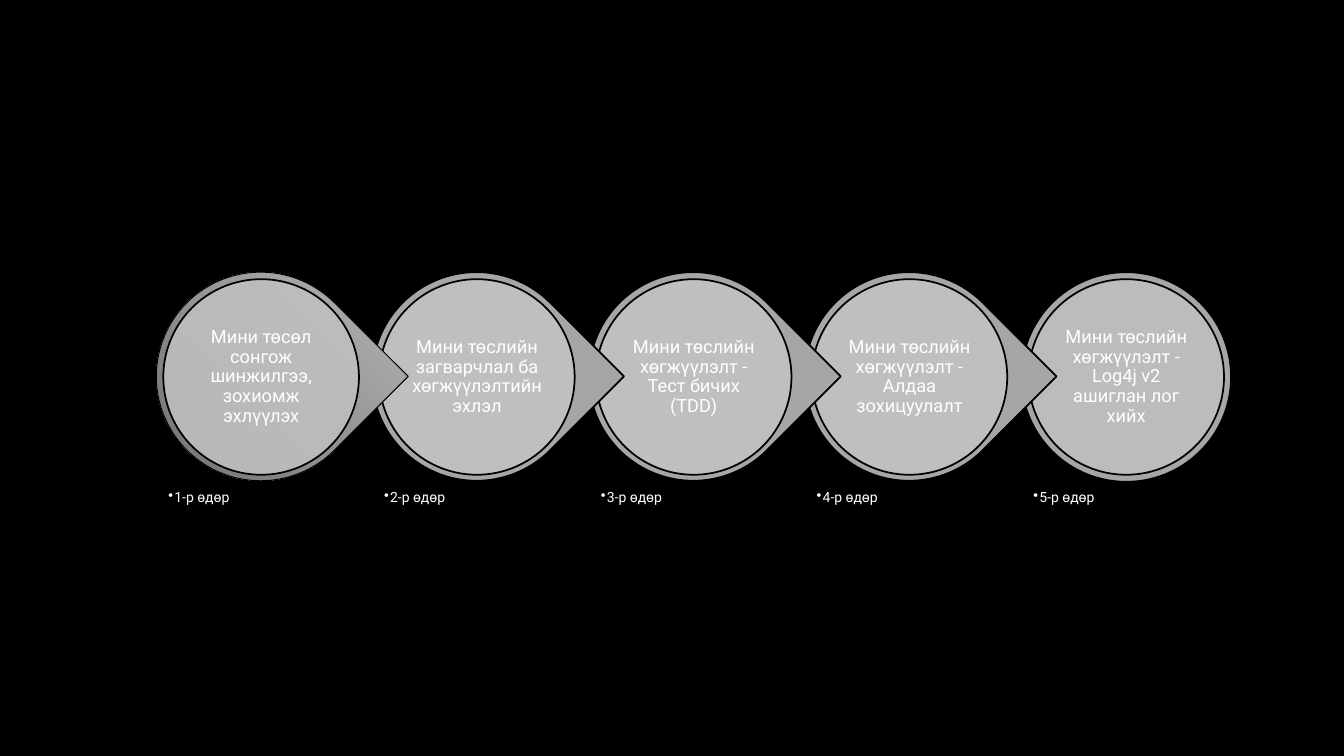
from lxml.etree import SubElement
from pptx import Presentation
from pptx.dml.color import RGBColor
from pptx.enum.shapes import MSO_SHAPE
from pptx.enum.text import MSO_ANCHOR, PP_ALIGN
from pptx.oxml.ns import qn
from pptx.util import Pt

PX = 9144  # EMU in one px, 100 px to the inch
BLACK = RGBColor(0x00, 0x00, 0x00)
WHITE = RGBColor(0xFF, 0xFF, 0xFF)
RIM = RGBColor(0xA6, 0xA6, 0xA6)
DISC = RGBColor(0xBF, 0xBF, 0xBF)
LIGHT = RGBColor(0xBC, 0xBC, 0xBC)
DARK = RGBColor(0x65, 0x65, 0x65)

STEPS = [
    "Мини төсөл сонгож шинжилгээ, зохиомж эхлүүлэх",
    "Мини төслийн загварчлал ба хөгжүүлэлтийн эхлэл",
    "Мини төслийн хөгжүүлэлт - Тест бичих (TDD)",
    "Мини төслийн хөгжүүлэлт - Алдаа зохицуулалт",
    "Мини төслийн хөгжүүлэлт - Log4j v2 ашиглан лог хийх",
]


class Deck:
    font = "Roboto"

    def __init__(self, width, height):
        self.file = Presentation()
        self.file.slide_width = width * PX
        self.file.slide_height = height * PX
        self.slide = self.file.slides.add_slide(self.file.slide_layouts[6])
        back = self.slide.background.fill
        back.solid()
        back.fore_color.rgb = BLACK

    def shape(self, kind, box, fill, line=1.25, alpha=None):
        """Add an outlined shape; a pair of colours as fill makes a gradient."""
        item = self.slide.shapes.add_shape(kind, *(n * PX for n in box))
        item.shadow.inherit = False
        item.line.color.rgb = BLACK
        item.line.width = Pt(line)
        if isinstance(fill, list):
            item.fill.gradient()
            item.fill.gradient_angle = 270
            for stop, tone in zip(item.fill.gradient_stops, fill):
                stop.color.rgb = tone
        else:
            item.fill.solid()
            item.fill.fore_color.rgb = fill
        if alpha:
            tone = item.fill._xPr.find(".//" + qn("a:srgbClr"))
            SubElement(tone, qn("a:alpha"), val=str(alpha * 1000))
        return item

    def text(self, box, words, size, inset, para, anchor=MSO_ANCHOR.TOP):
        item = self.slide.shapes.add_textbox(*(n * PX for n in box))
        frame = item.text_frame
        style = {"word_wrap": True, "vertical_anchor": anchor}
        for side in ("left", "top", "right", "bottom"):
            style["margin_" + side] = inset * PX
        for name, value in style.items():
            setattr(frame, name, value)
        line = frame.paragraphs[0]
        for name, value in {"line_spacing": 0.9, **para}.items():
            setattr(line, name, value)
        run = line.add_run()
        run.text = words
        for name, value in {"name": self.font, "size": Pt(size)}.items():
            setattr(run.font, name, value)
        run.font.color.rgb = WHITE
        return line

    def bullet(self, box, words, size):
        line = self.text(box, words, size, 5, {"level": 1})
        props = line._p.get_or_add_pPr()
        props.set("marL", str(6 * PX))
        props.set("indent", str(-6 * PX))
        SubElement(props, qn("a:buChar"), char="•")

    def step(self, index, words):
        """Add one day of the chain: rim, disc, title and day label."""
        first, last = index == 0, index == len(STEPS) - 1
        left = 155 + index * 429 // 2
        if last:
            self.shape(MSO_SHAPE.OVAL, (left, 270, 208, 208), RIM)
        else:
            rim = self.shape(MSO_SHAPE.TEAR, (left, 270, 207, 207),
                             [LIGHT, DARK] if first else RIM,
                             0.75 if first else 1.25)
            rim.rotation = 45
        self.shape(MSO_SHAPE.OVAL, (left + 7, 277, 194, 194), DISC,
                   alpha=90 if first or last else None)
        self.text((left + 35, 305, 138, 138), words, 13, 2,
                  {"alignment": PP_ALIGN.CENTER}, MSO_ANCHOR.MIDDLE)
        self.bullet((left + 7, 482, 194, 114), f"{index + 1}-р өдөр", 10)


def main():
    deck = Deck(1333, 750)
    for index, words in reversed(list(enumerate(STEPS))):
        deck.step(index, words)
    deck.file.save("out.pptx")


if __name__ == "__main__":
    main()
